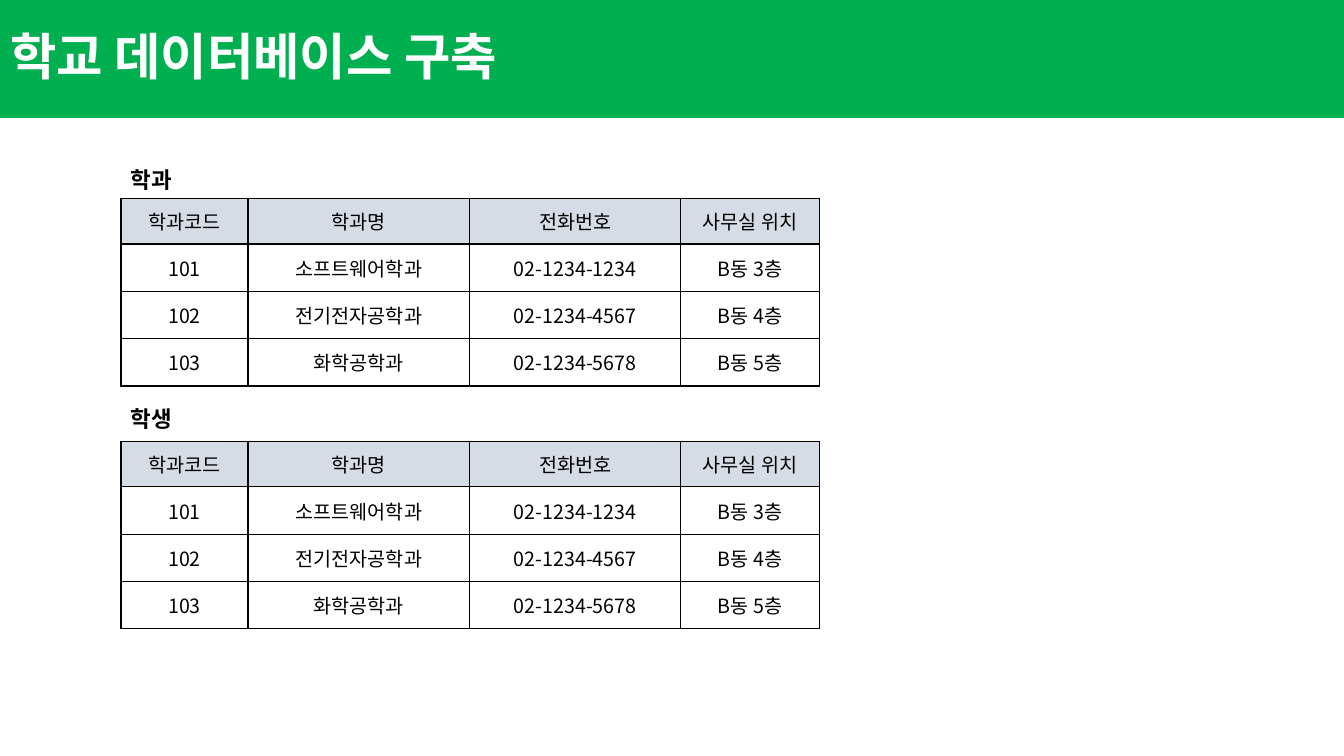
from dataclasses import dataclass

from lxml.etree import SubElement
from pptx import Presentation
from pptx.dml.color import RGBColor
from pptx.enum.text import MSO_ANCHOR, MSO_AUTO_SIZE, PP_ALIGN
from pptx.oxml.ns import qn
from pptx.slide import Slide
from pptx.table import _Cell
from pptx.text.text import _Paragraph
from pptx.util import Emu, Pt


@dataclass(frozen=True)
class Theme:
    font: str = "Noto Sans CJK KR"
    green: str = "00B050"
    white: str = "FFFFFF"
    black: str = "000000"
    head: str = "D6DCE5"
    title: int = 36
    label: int = 16
    cell: int = 14
    line: int = 1


@dataclass(frozen=True)
class Block:
    label: str
    top: int
    grid: int


THEME = Theme()
SCALE = 9144
LEFT = 120
COLS = (126, 220, 209, 138)
ROWS = (45, 47, 47, 47)
DATA = (
    ("학과코드", "학과명", "전화번호", "사무실 위치"),
    ("101", "소프트웨어학과", "02-1234-1234", "B동 3층"),
    ("102", "전기전자공학과", "02-1234-4567", "B동 4층"),
    ("103", "화학공학과", "02-1234-5678", "B동 5층"),
)
BLOCKS = (Block("학과", 160, 197), Block("학생", 397, 438))


def px(size: int) -> Emu:
    return Emu(size * SCALE)


def add_run(para: _Paragraph, text: str, size: int, color: str, bold: bool = False) -> None:
    run = para.add_run()
    run.text = text
    font = run.font
    font.name = THEME.font
    font.size = Pt(size)
    font.bold = bold
    font.color.rgb = RGBColor.from_string(color)
    SubElement(run._r.get_or_add_rPr(), qn("a:ea"), typeface=THEME.font)


def add_lines(cell: _Cell) -> None:
    props = cell._tc.get_or_add_tcPr()
    for side in ("lnL", "lnR", "lnT", "lnB"):
        line = SubElement(props, qn(f"a:{side}"), w=str(Pt(THEME.line)))
        fill = SubElement(line, qn("a:solidFill"))
        SubElement(fill, qn("a:srgbClr"), val=THEME.black)


def add_title(slide: Slide, text: str) -> None:
    title = slide.shapes.title
    title.left, title.top, title.width, title.height = map(px, (0, 0, 1333, 117))
    title.fill.solid()
    title.fill.fore_color.rgb = RGBColor.from_string(THEME.green)
    frame = title.text_frame
    frame.auto_size = MSO_AUTO_SIZE.NONE
    frame.vertical_anchor = MSO_ANCHOR.MIDDLE
    para = frame.paragraphs[0]
    para.alignment = PP_ALIGN.LEFT
    para.line_spacing = 0.9
    add_run(para, text, THEME.title, THEME.white, True)


def add_label(slide: Slide, block: Block) -> None:
    box = slide.shapes.add_textbox(px(LEFT), px(block.top), px(120), px(37))
    frame = box.text_frame
    frame.word_wrap = True
    frame.auto_size = MSO_AUTO_SIZE.SHAPE_TO_FIT_TEXT
    add_run(frame.paragraphs[0], block.label, THEME.label, THEME.black, True)


def add_grid(slide: Slide, block: Block) -> None:
    table = slide.shapes.add_table(
        len(ROWS), len(COLS), px(LEFT), px(block.grid), px(sum(COLS)), px(sum(ROWS))
    ).table
    table.first_row = True
    table.horz_banding = False
    for col, width in zip(table.columns, COLS):
        col.width = px(width)
    for row, height in zip(table.rows, ROWS):
        row.height = px(height)
    for i, texts in enumerate(DATA):
        for j, text in enumerate(texts):
            cell = table.cell(i, j)
            cell.vertical_anchor = MSO_ANCHOR.MIDDLE
            add_lines(cell)
            if i == 0:
                cell.fill.solid()
                cell.fill.fore_color.rgb = RGBColor.from_string(THEME.head)
            else:
                cell.fill.background()
            para = cell.text_frame.paragraphs[0]
            para.alignment = PP_ALIGN.CENTER
            add_run(para, text, THEME.cell, THEME.black)


def main() -> None:
    deck = Presentation()
    deck.slide_width, deck.slide_height = px(1333), px(750)
    slide = deck.slides.add_slide(deck.slide_layouts[5])
    add_title(slide, "학교 데이터베이스 구축")
    for block in BLOCKS:
        add_grid(slide, block)
        add_label(slide, block)
    deck.save("out.pptx")


if __name__ == "__main__":
    main()
